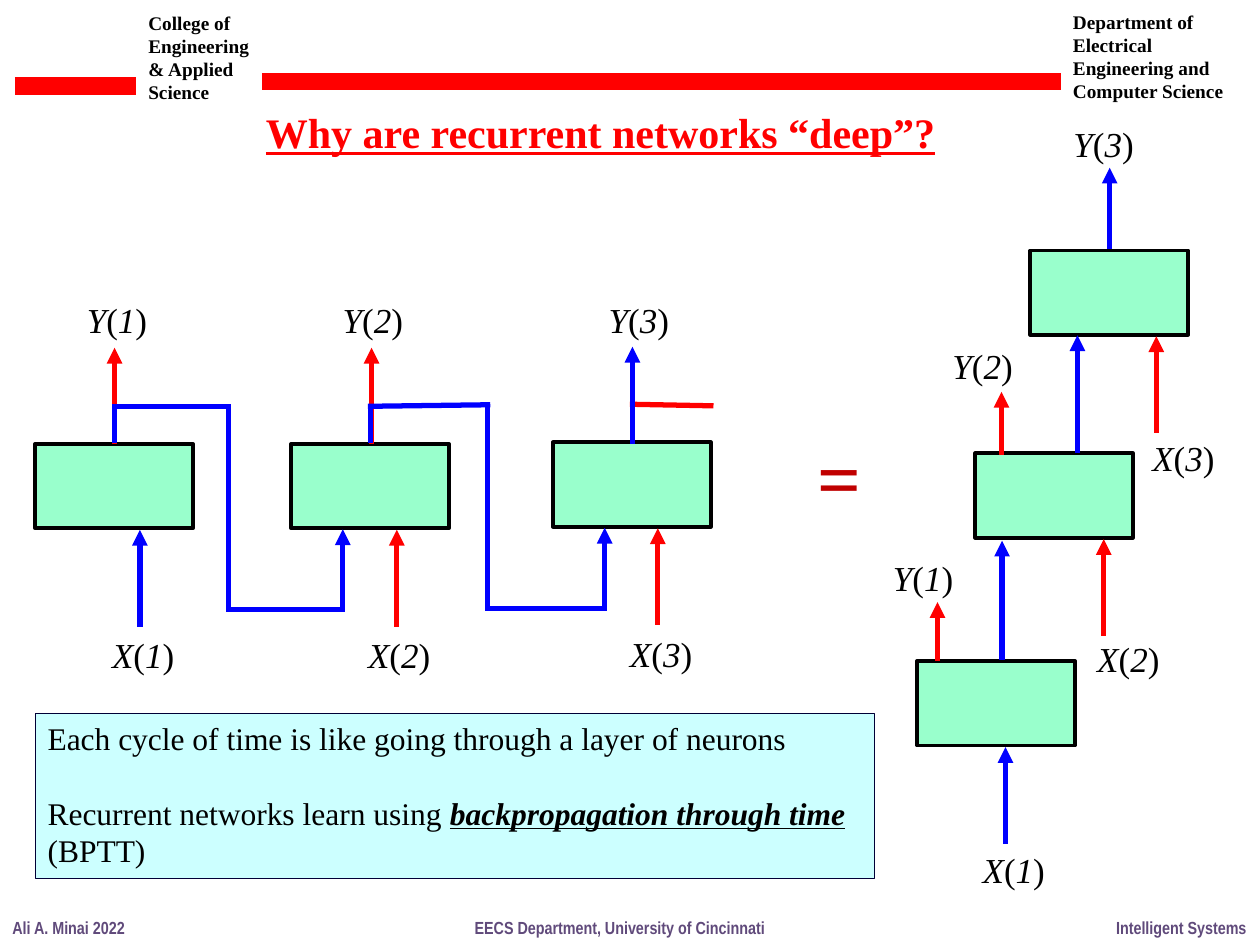
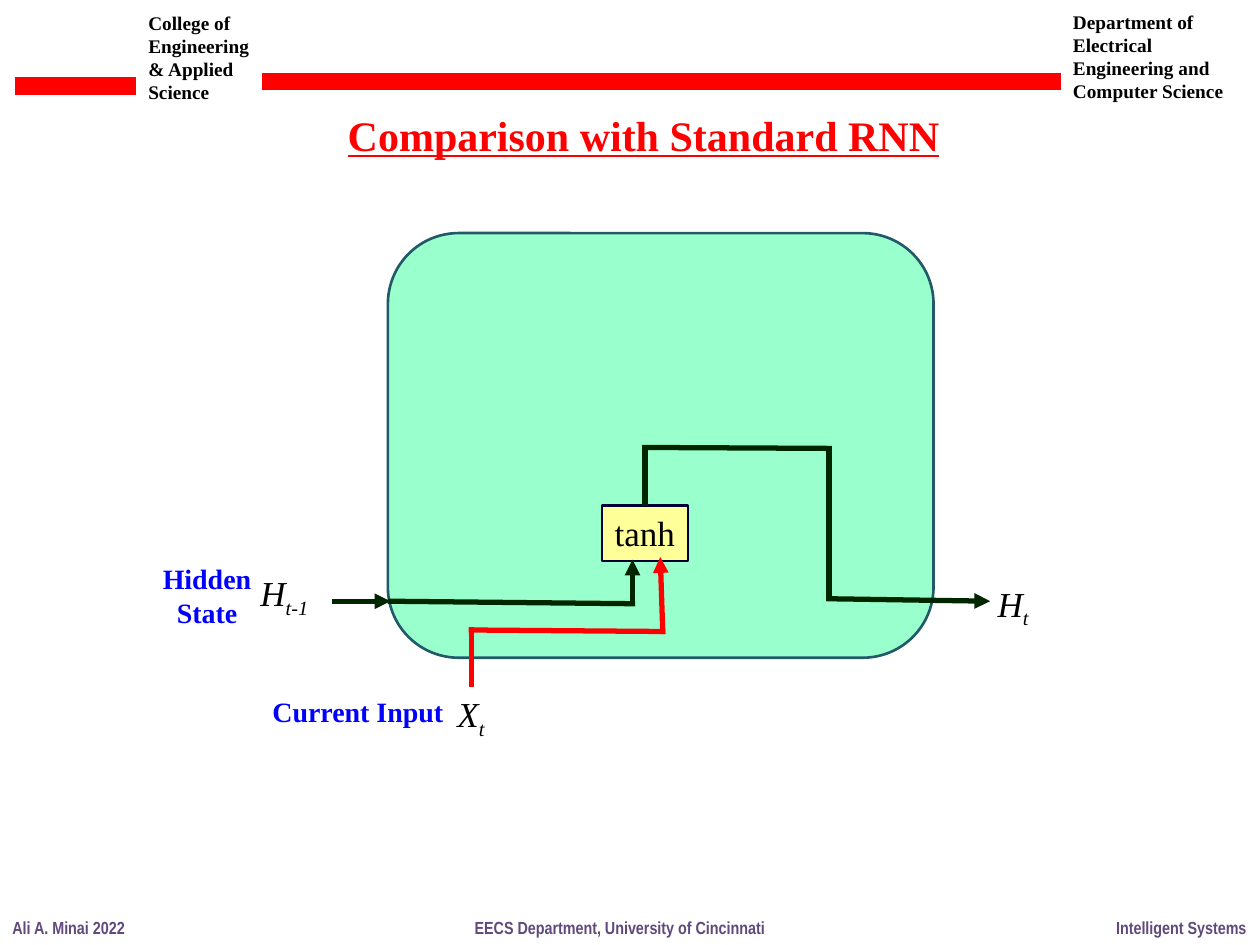
from pptx import Presentation
from pptx.dml.color import RGBColor as Rgb
from pptx.enum.shapes import MSO_CONNECTOR as Link, MSO_SHAPE as Form
from pptx.enum.text import MSO_ANCHOR as Anchor, MSO_AUTO_SIZE as Fit, PP_ALIGN as Align
from pptx.oxml.ns import qn
from pptx.util import Cm, Pt
from lxml.etree import SubElement as Sub

HUES = {
    "black": "000000", "red": "FF0000", "blue": "0000FF", "crimson": "C00000",
    "mint": "99FFCC", "aqua": "CCFFFF", "lemon": "FFFF99", "navy": "000036",
    "teal": "215968", "forest": "002600", "purple": "604A7B",
}
BASE = {"name": "Times New Roman", "size": Pt(20), "bold": False, "italic": False}
HEAD = {"size": Pt(11), "bold": True}
FOOT = {"name": "Arial Narrow", "size": Pt(10), "bold": True}
TITLE = {"size": Pt(24), "bold": True, "underline": True}
NOTE = {"size": Pt(16), "bold": True}
SLANT = {"italic": True}
BOX_W, BOX_H = 3.18, 1.7
SIGN_W = {"X": 1.8, "Y": 1.75}

# x, y of each box; X arrow dx; Y arrow dx, gap, top; X label dx, dy; Y label dx, dy
CHAIN = [
    (0.71, 8.95, 2.11, (1.6, 0.05, 1.94), (1.3, 3.7), (0.79, -3.05)),
    (5.87, 8.95, 2.13, (1.62, 0.05, 1.94), (1.3, 3.7), (0.79, -3.05)),
    (11.15, 8.92, 2.11, (1.6, 0.03, 1.93), (1.3, 3.7), (0.87, -3.02)),
]
STACK = [
    (18.49, 13.33, 1.78, (0.41, 0.05, 1.19), (1.07, 3.66), (-0.74, -2.24)),
    (19.66, 9.14, 2.59, (0.53, 0.03, 1.24), (2.21, 3.58), (-0.71, -2.31)),
    (20.77, 5.05, 2.54, (1.6, 0.08, 1.67), (2.21, 3.63), (0.62, -2.71)),
]


def hue(key):
    return Rgb.from_string(HUES[key])


def write(shape, paras, tint="black", align=Align.LEFT, wrap=False, gap=0, **style):
    """Fill a shape with paragraphs, each a string or a list of (text, style) runs."""
    frame = shape.text_frame
    frame.word_wrap = wrap
    frame.auto_size = Fit.NONE if wrap else Fit.SHAPE_TO_FIT_TEXT
    frame.vertical_anchor = Anchor.TOP
    for i, runs in enumerate(paras):
        para = frame.add_paragraph() if i else frame.paragraphs[0]
        para.alignment = align
        if i < len(paras) - 1:
            para.space_after = Pt(gap)
        for words, extra in [(runs, {})] if isinstance(runs, str) else runs:
            run = para.add_run()
            run.text = words
            form = {**BASE, **style, **extra}
            drop = form.pop("drop", 0)
            for key, value in form.items():
                setattr(run.font, key, value)
            run.font.color.rgb = hue(tint)
            if drop:
                run._r.get_or_add_rPr().set("baseline", str(-1000 * drop))


def text(slide, place, *paras, **style):
    write(slide.shapes.add_textbox(*map(Cm, place)), paras, **style)


def block(slide, place, fill, edge, width, form=Form.RECTANGLE):
    shape = slide.shapes.add_shape(form, *map(Cm, place))
    shape.shadow.inherit = False
    shape.fill.solid()
    shape.fill.fore_color.rgb = hue(fill)
    shape.line.color.rgb = hue(edge)
    shape.line.width = Pt(width)
    return shape


def line(slide, start, end, tint, width=3, arrow=False, cap="sq"):
    link = slide.shapes.add_connector(Link.STRAIGHT, *map(Cm, (*start, *end)))
    link.line.color.rgb = hue(tint)
    link.line.width = Pt(width)
    stroke = link.line._get_or_add_ln()
    stroke.set("cap", cap)
    if arrow:
        Sub(stroke, qn("a:tailEnd"), type="triangle")
    Sub(link._element.spPr, qn("a:effectLst"))


def route(slide, points, tint):
    """Join the points with straight lines, the last one with an arrowhead."""
    last = len(points) - 2
    for i, (start, end) in enumerate(zip(points, points[1:])):
        line(slide, start, end, tint, arrow=i == last)


def label(slide, sign, step, x, y):
    runs = [(sign, SLANT), ("(", {}), (str(step), SLANT), (")", {})]
    text(slide, (x, y, SIGN_W[sign], 1.12), runs)


def symbol(slide, sign, index, x, y, width):
    text(slide, (x, y, width, 1.12), [(sign, {}), (index, {"drop": 25})], italic=True)


def layer(slide, step, spec, out):
    """Draw one network copy with its input, its output and their labels."""
    x, y, in_dx, (out_dx, gap, top), (xdx, xdy), (ydx, ydy) = spec
    block(slide, (x, y, BOX_W, BOX_H), "mint", "black", 2.25)
    in_x, out_x = x + in_dx, x + out_dx
    tint = "blue" if step == 1 else "red"
    line(slide, (in_x, y + 3.63), (in_x, y + 1.73), tint, arrow=True)
    line(slide, (out_x, y - gap), (out_x, y - top), out, arrow=True)
    label(slide, "X", step, x + xdx, y + xdy)
    label(slide, "Y", step, x + ydx, y + ydy)


def loop(slide, prior, later):
    """Carry the output of one time step to the input of the next."""
    (x, y), (next_x, next_y) = prior[:2], later[:2]
    start, end = x + 1.6, next_x + 1.04
    mid, low = (start + end) / 2, next_y + 3.34
    route(slide, [(start, y - 0.08), (start, y - 0.76), (mid, next_y - 0.76),
                  (mid, low), (end, low), (end, next_y + 1.72)], "blue")


def page(deck, title, place):
    slide = deck.slides.add_slide(deck.slide_layouts[6])
    text(slide, (2.74, 0.1, 2.77, 2.13), "College of Engineering & Applied",
         "Science", wrap=True, **HEAD)
    text(slide, (21.38, 0.08, 3.73, 2.13),
         "Department of Electrical Engineering and Computer Science", wrap=True, **HEAD)
    for left, right, y in [(0.3, 2.74, 1.73), (5.28, 21.38, 1.64)]:
        line(slide, (left, y), (right, y), "red", width=10, cap="flat")
    for words, x, width in [("Ali A. Minai 2022", 0, 2.79),
                            ("EECS Department, University of Cincinnati", 9.32, 6.4),
                            ("Intelligent Systems", 22.25, 3.15)]:
        text(slide, (x, 18.36, width, 0.69), words, tint="purple", **FOOT)
    text(slide, place, title, tint="red", **TITLE)
    return slide


def depth(deck):
    slide = page(deck, "Why are recurrent networks “deep”?", (5.11, 2.03, 14.15, 1.27))
    text(slide, (16.23, 8.53, 1.4, 2.13), "=", tint="crimson", size=Pt(44), bold=True)
    panel = block(slide, (0.71, 14.38, 16.92, 3.33), "aqua", "navy", 0.75)
    write(panel, [
        "Each cycle of time is like going through a layer of neurons",
        [("Recurrent networks learn using ", {}),
         ("backpropagation through time ", {"bold": True, "italic": True, "underline": True}),
         ("(BPTT)", {})],
    ], wrap=True, gap=20.7, size=Pt(18))

    line(slide, (12.75, 8.15), (14.33, 8.18), "red")
    for row in (CHAIN, STACK):
        for step, spec in enumerate(row, 1):
            layer(slide, step, spec, "blue" if step == len(row) else "red")
    for prior, later in zip(CHAIN, CHAIN[1:]):
        loop(slide, prior, later)
    for x, start, end in [(20.2, 13.26, 10.9), (21.72, 9.07, 6.76)]:
        line(slide, (x, start), (x, end), "blue", arrow=True)


def cell(deck):
    slide = page(deck, "Comparison with Standard RNN", (6.76, 2.08, 12.57, 1.27))
    block(slide, (7.82, 4.7, 11, 8.56), "mint", "teal", 1.5, Form.ROUNDED_RECTANGLE)
    gate = block(slide, (12.14, 10.19, 1.73, 1.12), "lemon", "navy", 1.5)
    write(gate, ["tanh"])
    for tint, points in [
        ("forest", [(6.75, 12.12), (7.87, 12.12)]),
        ("forest", [(7.87, 12.12), (12.75, 12.17), (12.75, 11.28)]),
        ("forest", [(13, 10.15), (13, 9.02), (16.71, 9.04), (16.71, 12.07), (19.96, 12.12)]),
        ("red", [(9.5, 13.8), (9.5, 12.7), (13.36, 12.73), (13.31, 11.23)]),
    ]:
        route(slide, points, tint)
    text(slide, (3.02, 11.2, 2.31, 1.63), "Hidden", "State",
         tint="blue", align=Align.CENTER, **NOTE)
    text(slide, (5.21, 13.87, 4.01, 0.94), "Current Input",
         tint="blue", align=Align.CENTER, **NOTE)
    symbol(slide, "H", "t-1", 5, 11.4, 1.55)
    symbol(slide, "H", "t", 19.86, 11.61, 1.17)
    symbol(slide, "X", "t", 8.97, 13.84, 1.09)


def main():
    deck = Presentation()
    deck.slide_width, deck.slide_height = Cm(25.4), Cm(19.05)
    depth(deck)
    cell(deck)
    deck.save("out.pptx")


if __name__ == "__main__":
    main()
